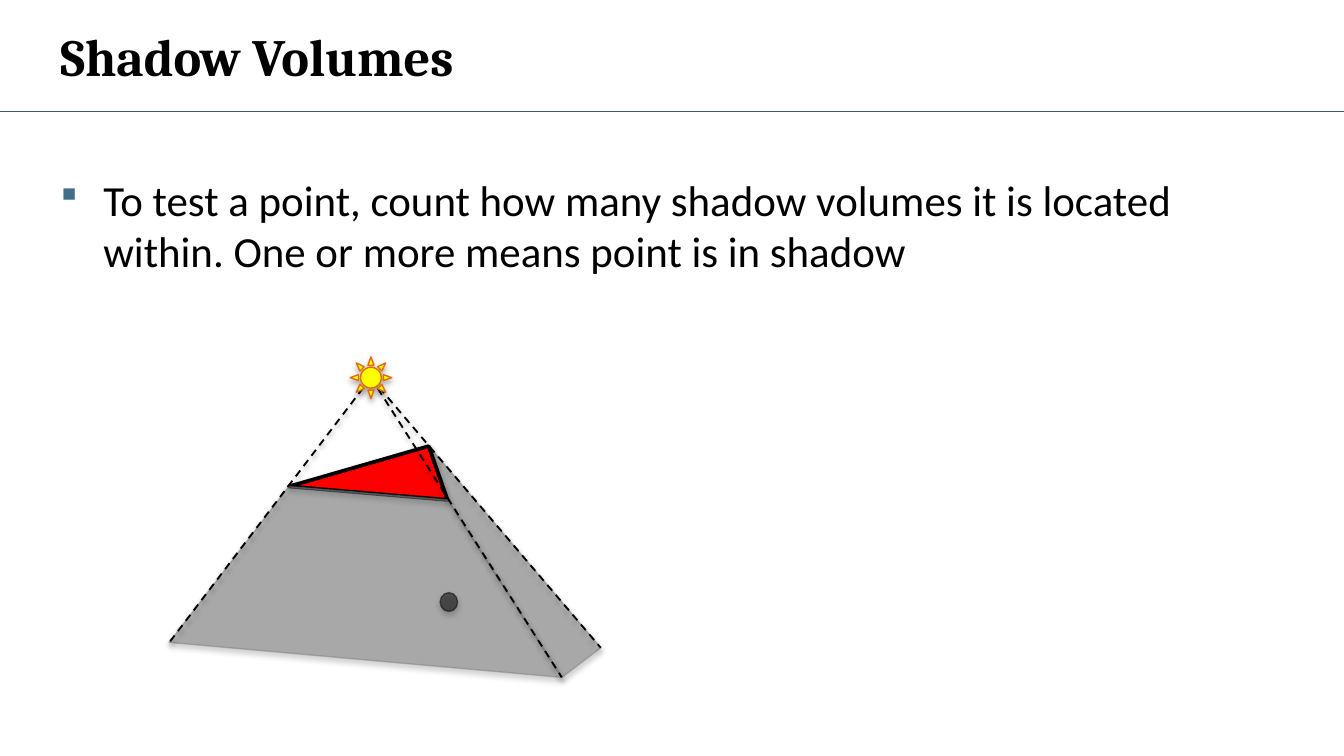
from dataclasses import dataclass
from typing import Optional

from lxml import etree
from pptx import Presentation
from pptx import util as u
from pptx.dml.color import RGBColor
from pptx.enum import dml, shapes, text
from pptx.oxml import ns

COLORS = {
    "ink": "000000", "rule": "425563", "bullet": "406F89", "volume": "808080",
    "triangle": "FF0000", "sun": "FFFF00", "sun_edge": "E46C0A",
}
Point = tuple[float, float]


@dataclass(frozen=True)
class Style:
    line: str
    width: float
    fill: str = ""
    alpha: int = 100


@dataclass(frozen=True)
class Shadow:
    opacity: int
    distance: float
    blur: float = 3.1


VOLUME = Style("volume", 0.75, "volume", 50)
FACE_SHADOW = Shadow(35, 1.8)
RAY_SHADOW = Shadow(38, 1.6)


def rgb(name: str) -> RGBColor:
    return RGBColor.from_string(COLORS[name])


def add_child(parent, tag: str, **attributes):
    return etree.SubElement(parent, ns.qn(tag), {k: str(v) for k, v in attributes.items()})


def set_shadow(shape, shadow: Optional[Shadow]) -> None:
    """Give a shape whose line is already set a downward shadow, or none."""
    effects = add_child(shape._element.spPr, "a:effectLst")
    if shadow:
        outer = add_child(effects, "a:outerShdw", blurRad=int(u.Pt(shadow.blur)),
                          dist=int(u.Pt(shadow.distance)), dir=90 * 60000, rotWithShape=0)
        color = add_child(outer, "a:srgbClr", val=COLORS["ink"])
        add_child(color, "a:alpha", val=shadow.opacity * 1000)


def paint(shape, style: Style) -> None:
    shape.fill.solid()
    shape.fill.fore_color.rgb = rgb(style.fill)
    shape.line.color.rgb = rgb(style.line)
    shape.line.width = u.Pt(style.width)
    if style.alpha < 100:
        for color in shape._element.spPr.iter(ns.qn("a:srgbClr")):
            add_child(color, "a:alpha", val=style.alpha * 1000)
    set_shadow(shape, FACE_SHADOW)


def add_face(page, points: list[Point], style: Style) -> None:
    corners = [(u.Inches(x), u.Inches(y)) for x, y in points]
    builder = page.shapes.build_freeform(*corners[0])
    builder.add_line_segments(corners[1:], close=True)
    paint(builder.convert_to_shape(), style)


def add_line(page, start: Point, end: Point, color: str, dashed: bool = False) -> None:
    line = page.shapes.add_connector(
        shapes.MSO_CONNECTOR.STRAIGHT, *(u.Inches(v) for v in (*start, *end)))
    line.line.color.rgb = rgb(color)
    line.line.width = u.Pt(1)
    if dashed:
        line.line.dash_style = dml.MSO_LINE.DASH
    set_shadow(line, RAY_SHADOW if dashed else None)


def add_marker(page, kind, center: Point, width: float, height: float, style: Style) -> None:
    left, top = center[0] - width / 2, center[1] - height / 2
    paint(page.shapes.add_shape(kind, *(u.Inches(v) for v in (left, top, width, height))), style)


def write(para, words: str, font: str, size: float, bold: bool = False) -> None:
    span = para.add_run()
    span.text = words
    span.font.name, span.font.size, span.font.bold = font, u.Pt(size), bold
    span.font.color.rgb = rgb("ink")


def add_title(page, words: str) -> None:
    box = page.shapes.title
    box.left, box.top, box.width, box.height = (u.Inches(v) for v in (0.35, 0, 9.29, 0.83))
    box.text_frame.vertical_anchor = text.MSO_ANCHOR.MIDDLE
    para = box.text_frame.paragraphs[0]
    para.alignment = text.PP_ALIGN.LEFT
    write(para, words, "Cambria", 28, bold=True)


def add_bullet(page, words: str) -> None:
    box = page.shapes.add_textbox(*(u.Inches(v) for v in (0.35, 1.24, 9.29, 4.02)))
    box.text_frame.word_wrap = True
    para = box.text_frame.paragraphs[0]
    indent = int(u.Inches(0.32))
    props = para._p.get_or_add_pPr()
    props.set("marL", str(indent))
    props.set("indent", str(-indent))
    add_child(add_child(props, "a:buClr"), "a:srgbClr", val=COLORS["bullet"])
    add_child(props, "a:buSzPct", val=90000)
    add_child(props, "a:buFont", typeface="Wingdings")
    add_child(props, "a:buChar", char="§")  # a filled square in this font
    write(para, words, "Calibri", 23)


def main() -> None:
    deck = Presentation()
    deck.slide_width = u.Inches(10)
    deck.slide_height = deck.slide_width * 9 // 16
    page = deck.slides.add_slide(deck.slide_layouts[5])

    # Heading and statement
    add_line(page, (0, 0.83), (10, 0.83), "rule")
    add_title(page, "Shadow Volumes")
    add_bullet(page, "To test a point, count how many shadow volumes it is located within. "
                     "One or more means point is in shadow")

    # Light, triangle corners and their projections
    light = (2.76, 2.81)
    left, back, front = (2.15, 3.62), (3.19, 3.32), (3.33, 3.72)
    far_left, far_back, far_front = (1.26, 4.78), (4.47, 4.82), (4.18, 5.04)

    # Volume, triangle and light rays from back to front
    add_face(page, [back, far_back, far_front, front], VOLUME)
    add_line(page, light, far_back, "ink", dashed=True)
    add_face(page, [left, back, front], Style("ink", 2, "triangle"))
    add_face(page, [left, front, far_front, far_left], VOLUME)
    for corner in (far_left, far_front):
        add_line(page, light, corner, "ink", dashed=True)

    # Light source and tested point
    add_marker(page, shapes.MSO_SHAPE.SUN, light, 0.31, 0.31, Style("sun_edge", 0.75, "sun"))
    add_marker(page, shapes.MSO_SHAPE.OVAL, (3.34, 4.48), 0.13, 0.14,
               Style("ink", 0.75, "ink", 50))

    deck.save("out.pptx")


if __name__ == "__main__":
    main()
